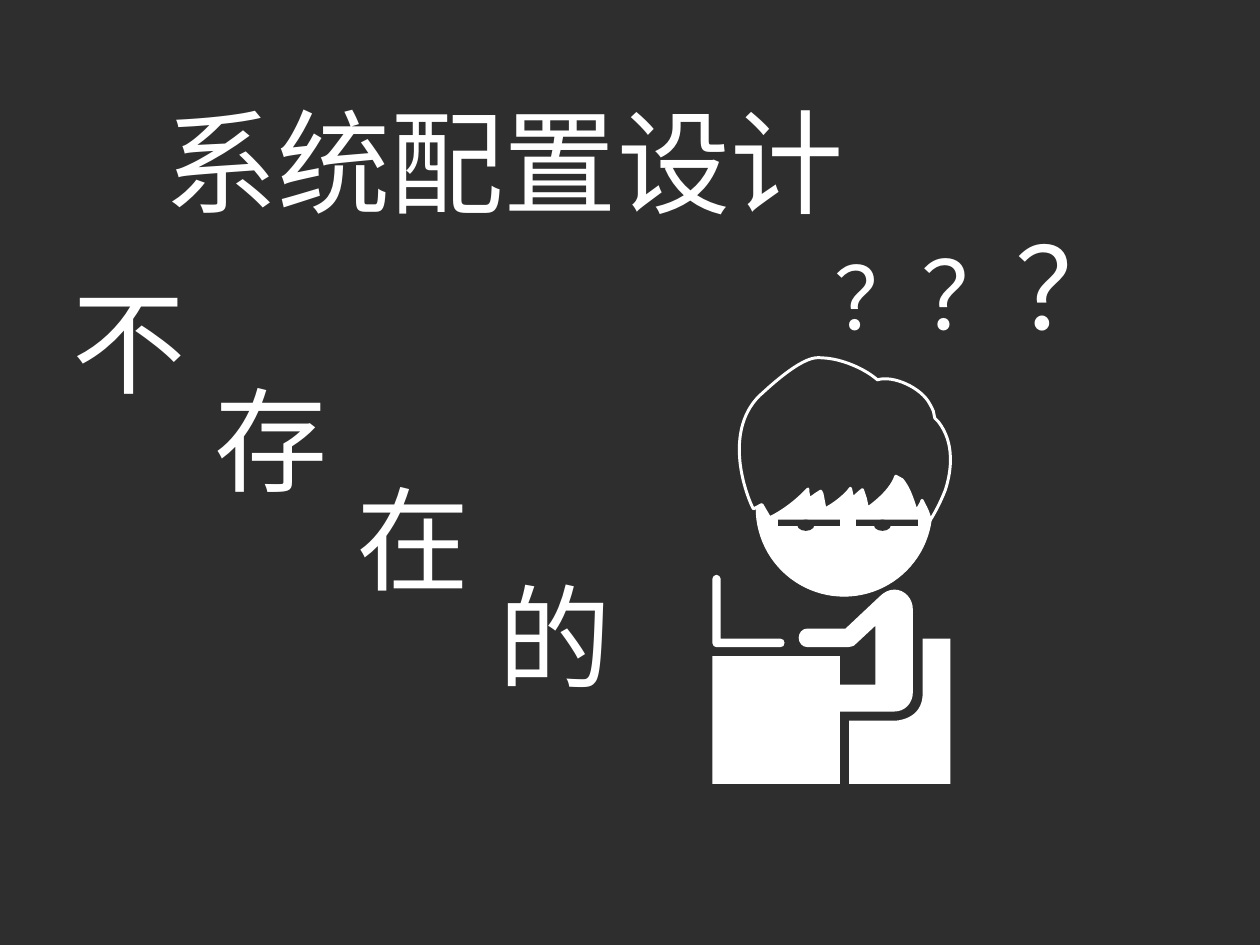
import pptx
import pptx.dml.color
import pptx.enum.shapes
import pptx.enum.text
import pptx.util
import lxml.etree

Pt = pptx.util.Pt
DARK = "2E2E2E"
WHITE = "FFFFFF"
FONT = "Noto Sans CJK SC"


def paint(shape, fill, line=None, width=1):
    shape.shadow.inherit = False
    shape.fill.solid()
    shape.fill.fore_color.rgb = pptx.dml.color.RGBColor.from_string(fill)
    if line is None:
        shape.line.fill.background()
    else:
        shape.line.color.rgb = pptx.dml.color.RGBColor.from_string(line)
        shape.line.width = Pt(width)


def format_text(shape, sizes, indent=0):
    """Format runs with the given sizes; each paragraph steps right by indent."""
    frame = shape.text_frame
    frame.word_wrap = True
    frame.auto_size = pptx.enum.text.MSO_AUTO_SIZE.NONE
    frame.vertical_anchor = pptx.enum.text.MSO_ANCHOR.TOP
    for row, paragraph in enumerate(frame.paragraphs):
        paragraph.alignment = pptx.enum.text.PP_ALIGN.LEFT
        paragraph.line_spacing = Pt(100)
        paragraph.space_before = Pt(0)
        properties = paragraph._p.get_or_add_pPr()
        properties.set("marL", str(Pt(row * indent)))
        properties.set("indent", "0")
        lxml.etree.SubElement(properties, pptx.oxml.ns.qn("a:buNone"))
        for run, size in zip(paragraph.runs, sizes):
            run.font.size = Pt(size)
            run.font.color.rgb = pptx.dml.color.RGBColor.from_string(WHITE)
            run.font.name = FONT
            east_asian = lxml.etree.SubElement(run.font._element, pptx.oxml.ns.qn("a:ea"))
            east_asian.set("typeface", FONT)


presentation = pptx.Presentation()
presentation.slide_width = Pt(1280)
presentation.slide_height = Pt(960)
slide = presentation.slides.add_slide(presentation.slide_layouts[1])
slide.background.fill.solid()
slide.background.fill.fore_color.rgb = pptx.dml.color.RGBColor.from_string(DARK)

# Title
title = slide.shapes.title
title.left, title.top, title.width, title.height = Pt(159.8), Pt(128.2), Pt(820.8), Pt(107.2)
title.text_frame.text = "系统配置设计"
format_text(title, [115])

# Staircase of characters
staircase = slide.placeholders[1]
staircase.left, staircase.top, staircase.width, staircase.height = Pt(66.8), Pt(311), Pt(820.8), Pt(407.5)
staircase.text_frame.text = "不\n存\n在\n的"
format_text(staircase, [115], indent=144)

# Growing question marks
questions = slide.shapes.add_textbox(Pt(840.8), Pt(254.9), Pt(425), Pt(107.2))
for mark in "？？？":
    questions.text_frame.paragraphs[0].add_run().text = mark
format_text(questions, [88, 96, 115])

# Face, eyelids and eyes
OVAL = pptx.enum.shapes.MSO_SHAPE.OVAL
RECTANGLE = pptx.enum.shapes.MSO_SHAPE.RECTANGLE
face_parts = [
    (OVAL, 768.2, 427, 178.6, 178.6, WHITE, WHITE),
    (RECTANGLE, 790.6, 527.8, 62.6, 6.5, DARK, None),
    (RECTANGLE, 869.8, 527.8, 62.6, 6.5, DARK, None),
    (OVAL, 810, 527.8, 17.3, 11.5, DARK, None),
    (OVAL, 887.8, 527.8, 17.3, 11.5, DARK, None),
]
for kind, left, top, width, height, fill, line in face_parts:
    part = slide.shapes.add_shape(kind, Pt(left), Pt(top), Pt(width), Pt(height))
    paint(part, fill, line)

# Outlines: two numbers are a corner, six are a cubic curve
laptop = [
    (723.6, 588.2), (723.6, 653), (723.6, 655.9, 725.8, 657.4, 727.9, 657.4),
    (792.7, 657.4), (795.6, 657.4, 797, 655.9, 797, 653),
    (797, 650.9, 795.6, 648.7, 792.7, 648.7), (732.2, 648.7), (732.2, 588.2),
    (732.2, 586.1, 730.1, 583.9, 727.9, 583.9),
    (725.8, 583.9, 723.6, 586.1, 723.6, 588.2),
]
chair = [
    (862.6, 796.3), (862.6, 732.2), (908.6, 732.2),
    (908.6, 732.2, 937.4, 732.2, 937.4, 704.2),
    (937.4, 648.7), (965.5, 648.7), (965.5, 796.3),
]
body_and_desk = [
    (908.6, 599), (902.9, 599, 897.8, 601.9, 894.2, 605.5), (859, 638.6),
    (820.1, 638.6), (815, 638.6, 811.4, 643, 811.4, 648),
    (811.4, 653, 815, 657.4, 820.1, 657.4), (861.8, 657.4),
    (864, 657.4, 865.4, 656.6, 867.6, 655.9), (889.2, 635.8), (889.2, 695.5),
    (853.2, 695.5), (853.2, 666.7), (723.6, 666.7), (723.6, 796.3),
    (853.2, 796.3), (853.2, 722.9), (908.6, 722.9),
    (919.4, 722.9, 927.4, 714.2, 927.4, 703.4), (927.4, 619.2),
    (927.4, 608.4, 919.4, 599, 908.6, 599),
]
hair = [
    (835.9, 363.6), (854.6, 364.3, 878.4, 374.4, 891.4, 385.9),
    (907.2, 380.9, 936, 393.8, 944.6, 410.4),
    (946.1, 412.6, 946.8, 414.7, 948.2, 417.6), (949.7, 424.8), (953.3, 428.4),
    (961.6, 439.2, 965, 451.2, 965.5, 463.2),
    (966.1, 475.2, 963.8, 487, 960.5, 497.5),
    (953.3, 516.2, 944.6, 529.2, 944.6, 529.2), (943.9, 524.2),
    (942.5, 519.8, 941, 516.2, 938.9, 512.6), (936.7, 508.3), (936, 510.5),
    (930.2, 520.6), (930.2, 517.7), (929.5, 514.8),
    (926.6, 506.2, 923.8, 497.5, 918.7, 490.3), (916.6, 487.4), (910.1, 483.8),
    (904.3, 501.1, 881.3, 516.2, 881.3, 516.2), (879.1, 506.2), (876.2, 497.5),
    (873.4, 499.7), (866.2, 506.2), (864.7, 499), (864, 496.1), (861.1, 499.7),
    (850.3, 511.2, 838.1, 517, 838.1, 517), (835.2, 501.8), (833.8, 499),
    (829.4, 501.8), (822.2, 506.9), (820.8, 499.7), (820.8, 496.8), (814.3, 503.3),
    (799.2, 517.7, 783.4, 525.6, 782.6, 525.6), (781.2, 524.9), (774, 512.6),
    (771.1, 514.1), (765.4, 517), (763.6, 514.1, 755.1, 495.2, 752.1, 472.1),
    (749.2, 449, 751.6, 421.6, 771.8, 401.8),
    (773.3, 401, 807.8, 366.5, 828, 363.6),
    (830.2, 363.6, 833, 362.9, 835.9, 363.6),
]
for outline, fill, line in [
    (laptop, WHITE, None), (chair, WHITE, None),
    (body_and_desk, WHITE, None), (hair, DARK, WHITE),
]:
    ends = [(Pt(segment[-2]), Pt(segment[-1])) for segment in outline]
    builder = slide.shapes.build_freeform(*ends[0])
    builder.add_line_segments(ends[1:], close=True)
    figure = builder.convert_to_shape()
    paint(figure, fill, line, width=3)
    # Bend the straight segments that have control points
    straight_lines = list(figure._element.iter(pptx.oxml.ns.qn("a:lnTo")))
    for segment, straight in zip(outline[1:], straight_lines):
        if len(segment) == 6:
            curve = lxml.etree.Element(pptx.oxml.ns.qn("a:cubicBezTo"))
            for x, y in zip(segment[::2], segment[1::2]):
                point = lxml.etree.SubElement(curve, pptx.oxml.ns.qn("a:pt"))
                point.set("x", str(Pt(x) - figure.left))
                point.set("y", str(Pt(y) - figure.top))
            straight.getparent().replace(straight, curve)

presentation.save("out.pptx")
